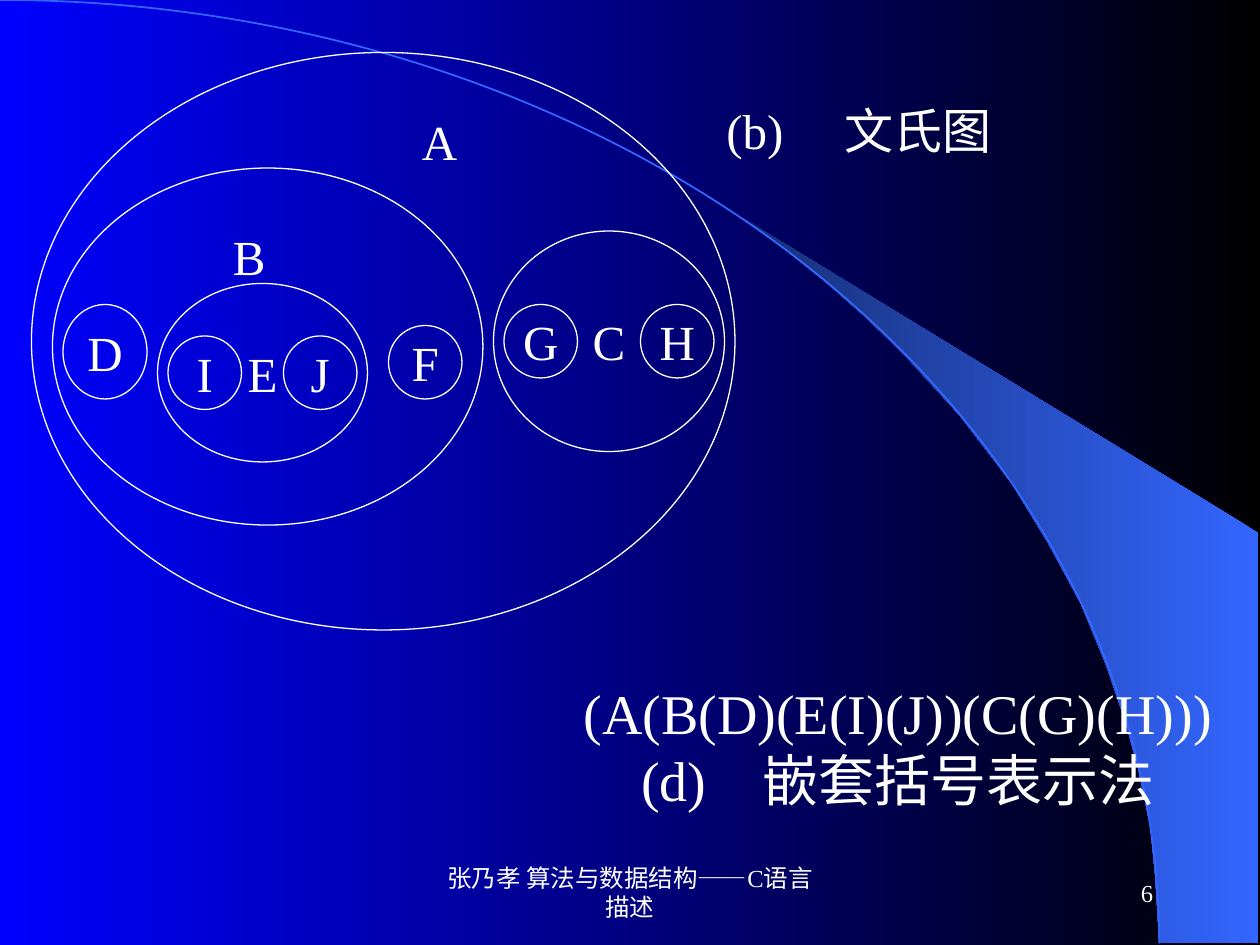
from dataclasses import dataclass
from typing import NamedTuple

from lxml.etree import SubElement
from pptx import Presentation
from pptx.dml.color import RGBColor as RGB
from pptx.enum.shapes import MSO_SHAPE as Shp
from pptx.enum.text import MSO_ANCHOR as Anchor, MSO_AUTO_SIZE as Fit, PP_ALIGN as Align
from pptx.oxml.ns import qn
from pptx.util import Cm, Pt


@dataclass(frozen=True)
class Theme:
    font: str = "Times New Roman"
    white: RGB = RGB(0xFF, 0xFF, 0xFF)
    black: RGB = RGB(0, 0, 0)
    blue: RGB = RGB(0, 0, 0xFF)
    accent: RGB = RGB(0x33, 0x66, 0xFF)
    shade: RGB = RGB(0x17, 0x2F, 0x75)
    formula: Pt = Pt(32)
    label: Pt = Pt(28)
    footer: Pt = Pt(14)
    outline: Pt = Pt(0.75)
    arc: Pt = Pt(1)


THEME = Theme()
GRID_CM = 2.54 / 12  # the diagram sits on a grid of twelfths of an inch


class Box(NamedTuple):
    """Left, top, width and height in grid steps."""
    x: float
    y: float
    w: float
    h: float

    def lengths(self) -> list[Cm]:
        return [Cm(v * GRID_CM) for v in self]


class VennSet(NamedTuple):
    box: Box
    label: str = ""


class Caption(NamedTuple):
    box: Box
    lines: list[str]
    size: Pt = THEME.label
    align: Align = Align.LEFT
    anchor: Anchor = Anchor.TOP
    wrap: bool = True
    tab: float = 0


VENN_SETS = [
    VennSet(Box(3, 5, 67, 55)),
    VennSet(Box(5, 16, 41, 34)),
    VennSet(Box(47, 22, 22, 21), "C"),
    VennSet(Box(6, 29, 8, 9), "D"),
    VennSet(Box(15, 27, 20, 17), "E"),
    *(VennSet(Box(x, y, 7, 7), label) for x, y, label in (
        (16, 32, "I"), (27, 32, "J"), (37, 31, "F"), (48, 29, "G"), (61, 29, "H"))),
]

FORMULA = Caption(Box(54.4, 64, 62.25, 14),
                  ["(A(B(D)(E(I)(J))(C(G)(H)))", "(d)　嵌套括号表示法"],
                  THEME.formula, Align.CENTER, wrap=False)
CAPTIONS = [
    Caption(Box(39, 10, 8, 6.85), ["A"]),
    Caption(Box(21, 21, 11, 6.85), ["B"]),
    Caption(Box(68, 9, 31, 6.85), ["(b)\t文氏图"], tab=2.38),
    Caption(Box(41, 82, 38, 6), ["张乃孝 算法与数据结构——C语言描述"],
            THEME.footer, Align.CENTER, Anchor.MIDDLE),
    Caption(Box(86, 82, 25, 6), ["6"], THEME.footer, Align.RIGHT, Anchor.MIDDLE),
]

WEDGE_CM = [
    (23.37, 19), (25.37, 19.02), (25.37, 10.74), (14.96, 4.39), (15.85, 5.05),
    (16.59, 5.64), (17.4, 6.35), (18.19, 7.11), (19.35, 8.38), (20.4, 9.75),
    (21.13, 10.95), (21.79, 12.17), (22.3, 13.41), (22.68, 14.53),
    (22.94, 15.47), (23.19, 16.66), (23.29, 17.68),
]


def set_gradient(fill, start: RGB, end: RGB) -> None:
    """Blend from start at the right to end at the left."""
    fill.gradient()
    fill.gradient_angle = 180
    for stop, color in zip(fill.gradient_stops, (start, end)):
        stop.color.rgb = color


def write(tf, lines: list[str], size: Pt, align: Align, anchor: Anchor,
          wrap: bool, tab: float = 0) -> None:
    tf.word_wrap = wrap
    tf.vertical_anchor = anchor
    if not wrap:
        tf.margin_left = tf.margin_right = Cm(0)
    style = {"name": THEME.font, "size": size}
    for i, line in enumerate(lines):
        p = tf.add_paragraph() if i else tf.paragraphs[0]
        p.alignment = align
        if tab:
            tabs = SubElement(p._p.get_or_add_pPr(), qn("a:tabLst"))
            SubElement(tabs, qn("a:tab"), pos=str(Cm(tab)), algn="l")
        r = p.add_run()
        r.text = line
        for key, value in style.items():
            setattr(r.font, key, value)
        r.font.color.rgb = THEME.white


def add_outline(s, kind: Shp, lengths: list[Cm], color: RGB, width: Pt):
    sp = s.shapes.add_shape(kind, *lengths)
    sp.shadow.inherit = False
    sp.fill.background()
    sp.line.color.rgb = color
    sp.line.width = width
    return sp


def add_backdrop(s) -> None:
    set_gradient(s.background.fill, THEME.black, THEME.blue)
    builder = s.shapes.build_freeform(*map(Cm, WEDGE_CM[0]))
    builder.add_line_segments([(Cm(x), Cm(y)) for x, y in WEDGE_CM[1:]])
    wedge = builder.convert_to_shape()
    wedge.shadow.inherit = False
    wedge.line.fill.background()
    set_gradient(wedge.fill, THEME.accent, THEME.shade)
    rx, ry = 23.37, 19.02
    add_outline(s, Shp.ARC, [Cm(-rx), Cm(0), Cm(2 * rx), Cm(2 * ry)],
                THEME.accent, THEME.arc)


def add_venn_set(s, item: VennSet) -> None:
    sp = add_outline(s, Shp.OVAL, item.box.lengths(), THEME.white, THEME.outline)
    if item.label:
        write(sp.text_frame, [item.label], THEME.label, Align.CENTER,
              Anchor.MIDDLE, wrap=False)


def add_caption(s, item: Caption) -> None:
    box, *text = item
    tf = s.shapes.add_textbox(*box.lengths()).text_frame
    write(tf, *text)
    if item.anchor == Anchor.TOP:
        tf.auto_size = Fit.SHAPE_TO_FIT_TEXT


def main() -> None:
    prs = Presentation()
    prs.slide_width, prs.slide_height = Cm(25.4), Cm(19.05)
    s = prs.slides.add_slide(prs.slide_layouts[6])
    add_backdrop(s)
    add_caption(s, FORMULA)
    for item in VENN_SETS:
        add_venn_set(s, item)
    for item in CAPTIONS:
        add_caption(s, item)
    prs.save("out.pptx")


if __name__ == "__main__":
    main()
